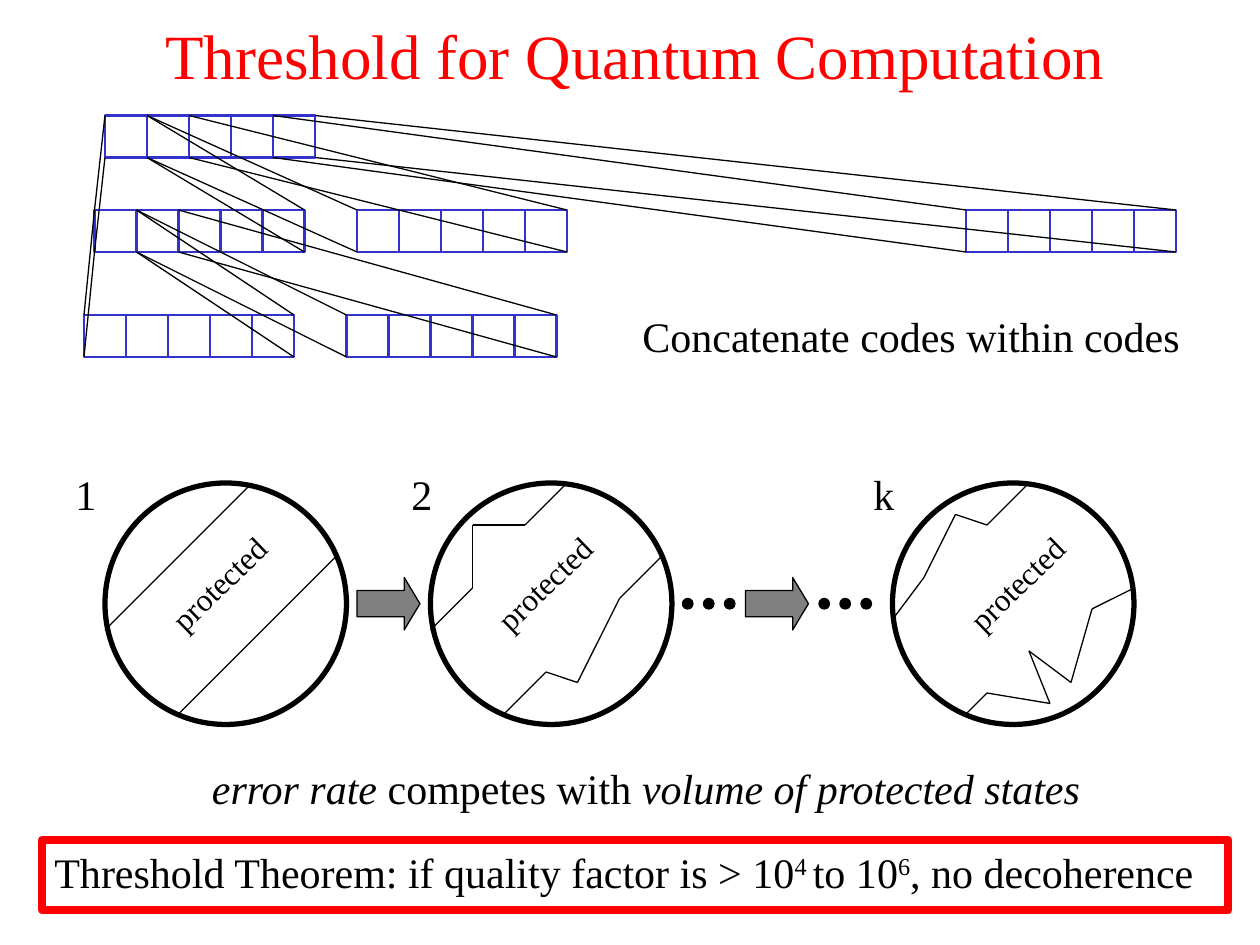
"""Build the slide on the threshold for quantum computation."""
from itertools import pairwise

from lxml import etree
from pptx import Presentation
from pptx.dml.color import RGBColor
from pptx.enum.shapes import MSO_CONNECTOR, MSO_SHAPE
from pptx.enum.text import MSO_ANCHOR, PP_ALIGN
from pptx.oxml.ns import qn
from pptx.util import Inches, Pt

RECT, OVAL, ARROW = MSO_SHAPE.RECTANGLE, MSO_SHAPE.OVAL, MSO_SHAPE.RIGHT_ARROW
STRAIGHT = MSO_CONNECTOR.STRAIGHT
LEFT, CENTER, TOP = PP_ALIGN.LEFT, PP_ALIGN.CENTER, MSO_ANCHOR.TOP
BLACK = RGBColor(0x00, 0x00, 0x00)
RED = RGBColor(0xFF, 0x00, 0x00)
BLUE = RGBColor(0x33, 0x33, 0xCC)
GRAY = RGBColor(0x80, 0x80, 0x80)
FONT = "Times New Roman"

COLUMNS, ROWS = 120, 90
CELL, CELLS_PER_CODE = 4, 5
CIRCLE_TOP, CIRCLE_SIZE = 46, 23

TITLE = [("Threshold for Quantum Computation", {})]
CONCATENATE = [("Concatenate codes within codes", {})]
COMPETITION = [("error rate", {"italic": True}), (" competes with ", {}),
               ("volume of protected states", {"italic": True})]
SUPERSCRIPT = {"baseline": "30000"}
THEOREM = [("Threshold Theorem: if quality factor is > 10", {}), ("4 ", SUPERSCRIPT),
           ("to 10", {}), ("6", SUPERSCRIPT), (", no decoherence", {})]

CODES = {
    "top": (10, 11),
    "first": (9, 20), "second": (34, 20), "last": (92, 20),
    "first of first": (8, 30), "second of first": (33, 30),
}
ENCODINGS = [
    ("top", 0, "first"), ("top", 1, "second"), ("top", 4, "last"),
    ("first", 0, "first of first"), ("first", 1, "second of first"),
]
STAGES = [
    {"label": "1", "label_left": 6, "circle_left": 10, "protected_left": 14,
     "borders": [[(10, 60), (24, 46)], [(17, 68), (32, 53)]]},
    {"label": "2", "label_left": 38, "circle_left": 41, "protected_left": 45,
     "borders": [[(41, 60), (45, 56), (45, 50), (50, 50), (54, 46)],
                 [(48, 68), (52, 64), (55, 65), (59, 57), (63, 53)]]},
    {"label": "k", "label_left": 82, "circle_left": 85, "protected_left": 90,
     "borders": [[(85, 59), (88, 55), (91, 49), (94, 50), (98, 46)],
                 [(92, 68), (94, 66), (100, 67), (98, 62), (102, 65), (104, 58), (108, 56)]]},
]
ARROW_LEFTS = [34, 71]
ELLIPSIS_LEFTS = [65, 78]

prs = Presentation()
prs.slide_width, prs.slide_height = Inches(10), Inches(7.5)
slide = prs.slides.add_slide(prs.slide_layouts[6])
shapes = slide.shapes


def grid(x, y):
    return round(prs.slide_width * x / COLUMNS), round(prs.slide_height * y / ROWS)


def add_outline(kind, x, y, width, height, color, weight, fill=None):
    outline = shapes.add_shape(kind, *grid(x, y), *grid(width, height))
    outline.shadow.inherit = False
    outline.line.color.rgb, outline.line.width = color, Pt(weight)
    if fill is None:
        outline.fill.background()
    else:
        outline.fill.solid()
        outline.fill.fore_color.rgb = fill
    return outline


def add_line(start, end):
    line = shapes.add_connector(STRAIGHT, *grid(*start), *grid(*end))
    line.line.color.rgb, line.line.width = BLACK, Pt(0.75)
    etree.SubElement(line._element.spPr, qn("a:effectLst"))


def write(holder, runs, size=24, color=BLACK, align=LEFT):
    frame = holder.text_frame
    frame.word_wrap, frame.vertical_anchor = True, TOP
    paragraph = frame.paragraphs[0]
    paragraph.alignment = align
    for text, extras in runs:
        run = paragraph.add_run()
        run.text = text
        run.font.color.rgb = color
        formats = {"name": FONT, "size": Pt(size), "italic": extras.get("italic", False)}
        for attribute, value in formats.items():
            setattr(run.font, attribute, value)
        if "baseline" in extras:
            run._r.get_or_add_rPr().set("baseline", extras["baseline"])


def add_text(x, y, width, height, runs, rotation=0, **style):
    box = shapes.add_textbox(*grid(x, y), *grid(width, height))
    box.rotation = rotation
    write(box, runs, **style)


add_text(0, 1, 121, 8.4, TITLE, size=36, color=RED, align=CENTER)

for left, top in CODES.values():
    for index in range(CELLS_PER_CODE):
        add_outline(RECT, left + index * CELL, top, CELL, CELL, BLUE, 1.5)

for parent, index, child in ENCODINGS:
    parent_left, parent_top = CODES[parent]
    child_left, child_top = CODES[child]
    for side in (0, 1):
        start_x = parent_left + (index + side) * CELL
        end_x = child_left + side * CELLS_PER_CODE * CELL
        for drop in (0, CELL):
            add_line((start_x, parent_top + drop), (end_x, child_top + drop))

add_text(60, 29, 57, 6, CONCATENATE)

for stage in STAGES:
    add_outline(OVAL, stage["circle_left"], CIRCLE_TOP, CIRCLE_SIZE, CIRCLE_SIZE, BLACK, 3)
    for border in stage["borders"]:
        for start, end in pairwise(border):
            add_line(start, end)
    add_text(stage["label_left"], 44, 21, 6, [(stage["label"], {})])
    add_text(stage["protected_left"], 53, 14, 4.8, [("protected", {})], rotation=316, size=18)

for left in ARROW_LEFTS:
    arrow = add_outline(ARROW, left, 55, 6, 5, BLACK, 0.75, GRAY)
    arrow.adjustments[0], arrow.adjustments[1] = 0.5, 0.3

for left in ELLIPSIS_LEFTS:
    for step in range(3):
        add_outline(OVAL, left + 2 * step, 57, 1, 1, BLACK, 0.75, BLACK)

add_text(19, 72, 88, 6, COMPETITION)
write(add_outline(RECT, 4, 80, 113, 6.7, RED, 4.5), THEOREM)

prs.save("out.pptx")
